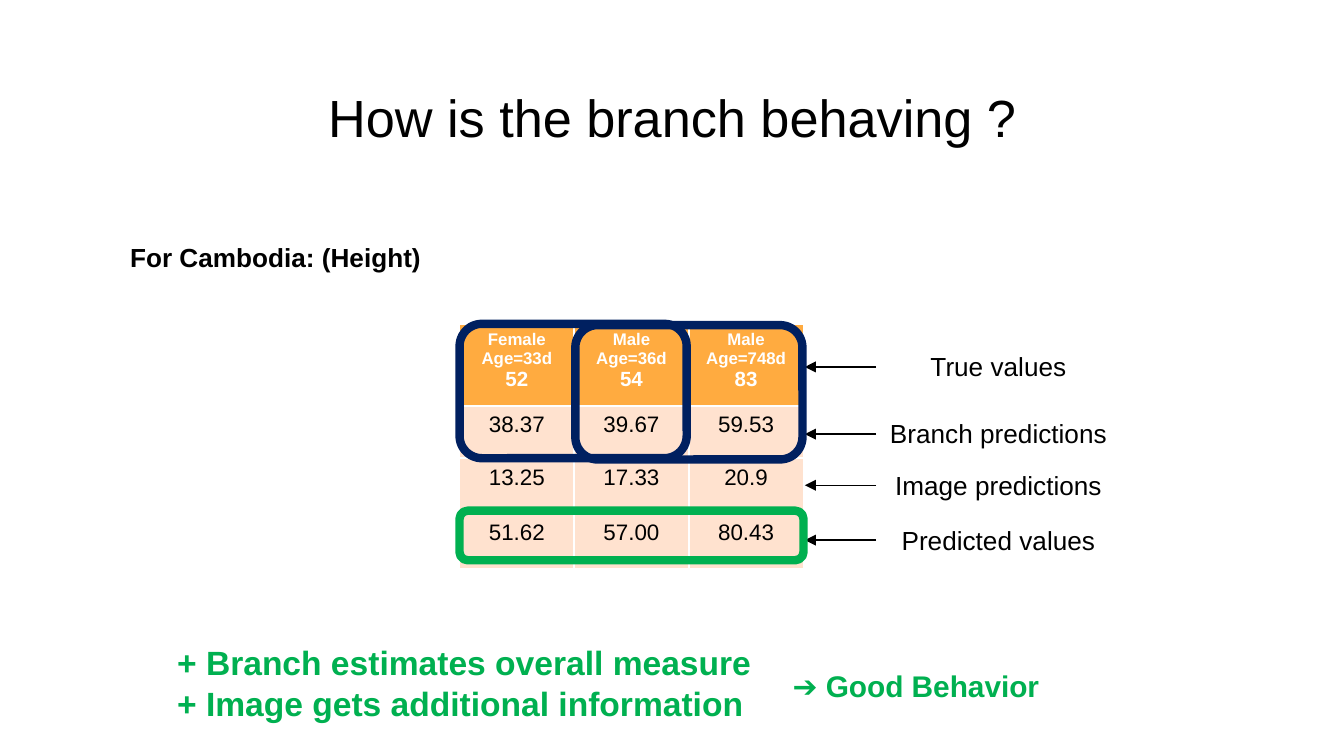
from pptx import Presentation
from pptx.dml.color import RGBColor
from pptx.enum import shapes, text
from pptx.oxml import parse_xml
from pptx.oxml.ns import nsdecls
from pptx.util import Pt

FONT = "Arial"
BLACK, WHITE = "000000", "FFFFFF"
ORANGE, PEACH = "FFAB40", "FFE2CF"
NAVY, GREEN = "002060", "00B050"
CENTER = text.PP_ALIGN.CENTER

TABLE_LEFT, COLUMN_WIDTH = 246.2, 61.4
LABEL_LEFT, LABEL_WIDTH, LABEL_HEIGHT = 469.4, 131, 24.5
ARROW_TIP = 431.2

HEADINGS = [("Female", "Age=33d", "52"), ("Male", "Age=36d", "54"),
            ("Male", "Age=748d", "83")]
# Top of the row, its values
VALUE_ROWS = [
    (217.4, ["38.37", "39.67", "59.53"]),
    (245.5, ["13.25", "17.33", "20.9"]),
    (275, ["51.62", "57.00", "80.43"]),
]
# Label, height of its arrow
ROW_LABELS = [("True values", 196.6), ("Branch predictions", 232.6),
              ("Image predictions", 260), ("Predicted values", 289.4)]
# Left, top, width, height, colour
HIGHLIGHTS = [
    (246.2, 173.5, 121.7, 72, NAVY),
    (308.2, 174.2, 121.7, 72, NAVY),
    (246.2, 273.6, 184.3, 26.6, GREEN),
]


def rgb(value):
    return RGBColor.from_string(value)


def write(frame, lines, sizes, color=BLACK, bold=False, align=None):
    """Fill a text frame, one paragraph for each line and size."""
    for index, (line, size) in enumerate(zip(lines, sizes)):
        paragraph = frame.paragraphs[0] if index == 0 else frame.add_paragraph()
        paragraph.alignment = align
        run = paragraph.add_run()
        run.text = line
        style = {"name": FONT, "size": Pt(size), "bold": bold}
        for key, value in style.items():
            setattr(run.font, key, value)
        run.font.color.rgb = rgb(color)


def add_text(slide, box, lines, size, wrap=True, **style):
    frame = slide.shapes.add_textbox(*map(Pt, box)).text_frame
    frame.word_wrap = wrap
    write(frame, lines, [size] * len(lines), **style)
    return frame


def add_borders(cell, bottom):
    properties = cell._tc.get_or_add_tcPr()
    for side, width in {"L": 1, "R": 1, "T": 1, "B": bottom}.items():
        properties.append(parse_xml(
            f'<a:ln{side} {nsdecls("a")} w="{Pt(width)}"><a:solidFill>'
            f'<a:srgbClr val="{WHITE}"/></a:solidFill></a:ln{side}>'))


def add_row(slide, top, height, cells, sizes, fill, bottom=1, **style):
    """Add a table of one row."""
    box = TABLE_LEFT, top, COLUMN_WIDTH * len(cells), height
    table = slide.shapes.add_table(1, len(cells), *map(Pt, box)).table
    table.first_row = table.horz_banding = False
    for cell, lines in zip(table.iter_cells(), cells):
        add_borders(cell, bottom)
        cell.fill.solid()
        cell.fill.fore_color.rgb = rgb(fill)
        write(cell.text_frame, lines, sizes, align=CENTER, **style)


def add_arrow(slide, y):
    arrow = slide.shapes.add_connector(
        shapes.MSO_CONNECTOR.STRAIGHT,
        Pt(LABEL_LEFT), Pt(y), Pt(ARROW_TIP), Pt(y))
    arrow.line.color.rgb = rgb(BLACK)
    arrow.line.width = Pt(0.75)
    arrow.line._get_or_add_ln().append(
        parse_xml(f'<a:tailEnd {nsdecls("a")} type="triangle"/>'))
    arrow._element.spPr.append(parse_xml(f'<a:effectLst {nsdecls("a")}/>'))


def add_highlight(slide, left, top, width, height, color):
    frame = slide.shapes.add_shape(
        shapes.MSO_SHAPE.ROUNDED_RECTANGLE,
        Pt(left), Pt(top), Pt(width), Pt(height))
    frame.shadow.inherit = False
    frame.fill.background()
    frame.line.color.rgb = rgb(color)
    frame.line.width = Pt(4.5)


def main():
    deck = Presentation()
    deck.slide_width, deck.slide_height = Pt(720), Pt(405)
    slide = deck.slides.add_slide(deck.slide_layouts[6])

    # Title and subject
    title = add_text(slide, (24.5, 35.3, 671, 45.4),
                     ["How is the branch behaving ?"], 28, align=CENTER)
    title.margin_top = title.margin_bottom = Pt(7.2)
    title.paragraphs[0].line_spacing = 1.1
    add_text(slide, (62.6, 126, 171.4, 24.5), ["For Cambodia: (Height)"], 14,
             wrap=False, bold=True)

    # True values and the predictions
    add_row(slide, 173.5, 45.4, HEADINGS, (9, 9, 11), ORANGE, bottom=3,
            color=WHITE, bold=True)
    for top, values in VALUE_ROWS:
        add_row(slide, top, 29.5, [[value] for value in values], [12], PEACH)

    # Row labels with arrows
    for label, y in ROW_LABELS:
        box = LABEL_LEFT, y - LABEL_HEIGHT / 2, LABEL_WIDTH, LABEL_HEIGHT
        add_text(slide, box, [label], 14, align=CENTER)
        add_arrow(slide, y)

    # Frames around the compared values
    for highlight in HIGHLIGHTS:
        add_highlight(slide, *highlight)

    # Conclusions
    add_text(slide, (87.8, 340.6, 329.8, 51),
             ["+ Branch estimates overall measure",
              "+ Image gets additional information"],
             18, wrap=False, color=GREEN, bold=True)
    add_text(slide, (417.6, 354.2, 175.7, 26.6), ["➔ Good Behavior"], 16,
             color=GREEN, bold=True)

    deck.save("out.pptx")


if __name__ == "__main__":
    main()
